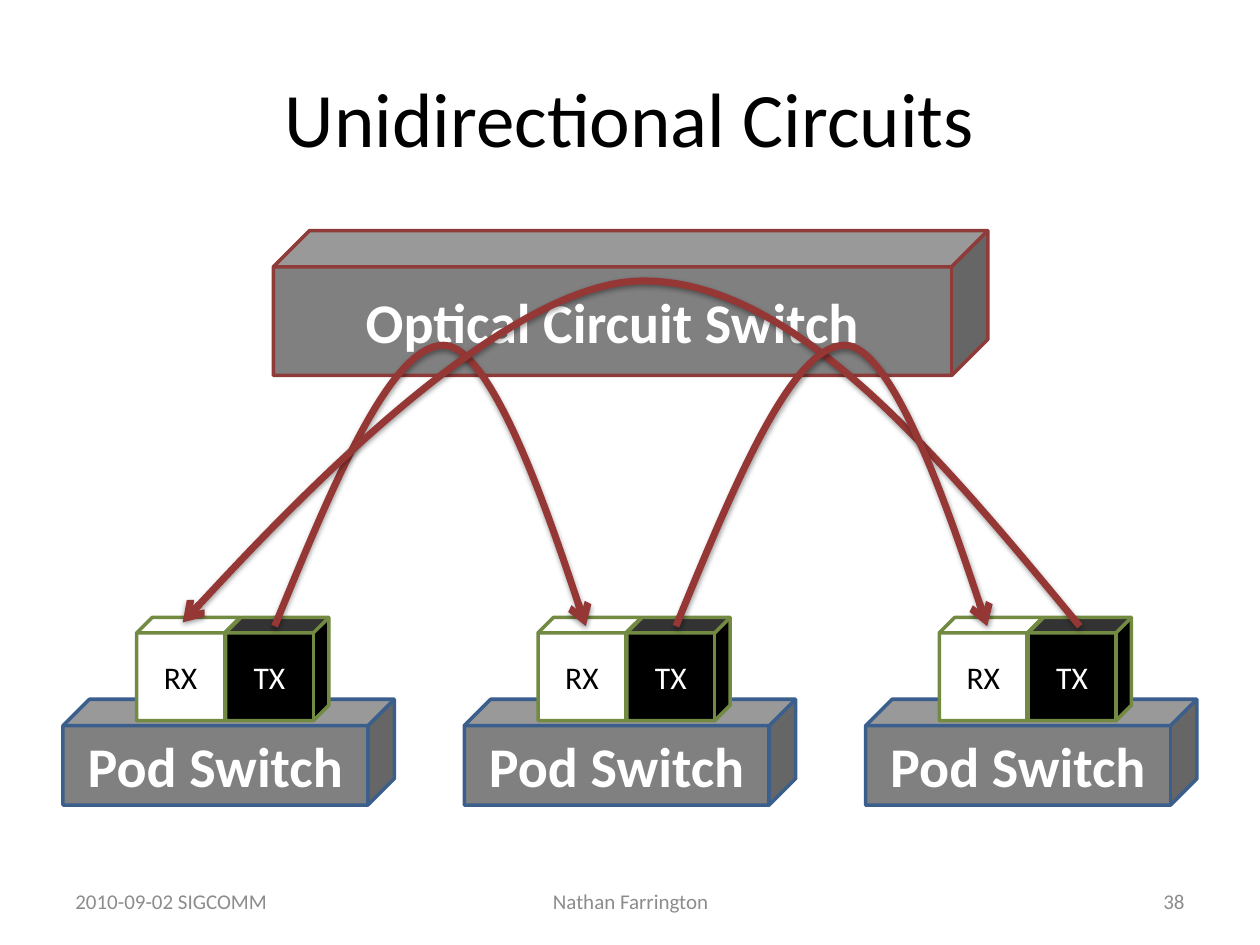
from lxml import etree
from pptx import Presentation
from pptx.dml.color import RGBColor
from pptx.enum.shapes import MSO_SHAPE
from pptx.enum.text import MSO_ANCHOR, PP_ALIGN
from pptx.oxml.ns import qn
from pptx.util import Inches, Pt

CUBE = MSO_SHAPE.CUBE
MIDDLE = MSO_ANCHOR.MIDDLE
LEFT, CENTER, RIGHT = PP_ALIGN.LEFT, PP_ALIGN.CENTER, PP_ALIGN.RIGHT
FONT = "Calibri"

# Content: text, place, alignment, size, colour
TEXTS = [
    ("Unidirectional Circuits", (0.5, 0.3, 9, 1.25), CENTER, 44, "000000"),
    ("2010-09-02 SIGCOMM", (0.5, 6.95, 2.33, 0.4), LEFT, 12, "8C8C8C"),
    ("Nathan Farrington", (3.42, 6.95, 3.17, 0.4), CENTER, 12, "8C8C8C"),
    ("38", (7.17, 6.95, 2.33, 0.4), RIGHT, 12, "8C8C8C"),
]
POD_LEFT, POD_STEP, POD_COUNT = 0.5, 3.185, 3
# Ports of a pod: text, offset from the pod's left, fill, text colour
PORTS = [("RX", 0.585, "FFFFFF", "000000"), ("TX", 1.29, "000000", "FFFFFF")]
PORT_TOP, PORT_SIZE = 4.9, 0.82

# Circuits: a start point, then three points for each Bezier segment
HOP = [(2.18, 4.97), (2.64, 3.85), (3.1, 2.74), (3.52, 2.74),
       (3.93, 2.74), (4.65, 4.97), (4.65, 4.97)]
RETURN = [(8.57, 4.97), (7.44, 3.6), (6.3, 2.23), (5.11, 2.23),
          (3.92, 2.22), (1.45, 4.94), (1.45, 4.94)]
CIRCUITS = [HOP, RETURN, [(x + POD_STEP, y) for x, y in HOP]]


def rgb(value):
    return RGBColor.from_string(value)


def write(shape, text, align, size, color, bold=False):
    frame = shape.text_frame
    frame.word_wrap = True
    frame.vertical_anchor = MIDDLE
    para = frame.paragraphs[0]
    para.text = text
    para.alignment = align
    para.font.name = FONT
    para.font.size = Pt(size)
    para.font.bold = bold
    para.font.color.rgb = rgb(color)


def add_cube(shapes, place, text, fill, line, size, color, bold, depth=0.25):
    cube = shapes.add_shape(CUBE, *map(Inches, place))
    cube.adjustments[0] = depth
    cube.shadow.inherit = False
    cube.fill.solid()
    cube.fill.fore_color.rgb = rgb(fill)
    cube.line.color.rgb = rgb(line)
    cube.line.width = Pt(2)
    write(cube, text, CENTER, size, color, bold)


def add_circuit(shapes, points):
    start, *rest = [(Inches(x), Inches(y)) for x, y in points]
    builder = shapes.build_freeform(*start)
    builder.add_line_segments(rest, close=False)
    curve = builder.convert_to_shape()
    curve.fill.background()
    curve.line.color.rgb = rgb("953735")
    curve.line.width = Pt(4)
    curve.shadow.inherit = False
    props = curve.element.spPr

    # Merge each three straight segments into one Bezier segment
    track = props.find(".//" + qn("a:path"))
    segments = track.findall(qn("a:lnTo"))
    for first in range(0, len(segments), 3):
        bezier = etree.SubElement(track, qn("a:cubicBezTo"))
        for segment in segments[first:first + 3]:
            bezier.append(segment[0])
            track.remove(segment)

    # Arrowhead and soft shadow
    etree.SubElement(props.find(qn("a:ln")), qn("a:tailEnd"), type="arrow")
    shadow = etree.SubElement(
        props.find(qn("a:effectLst")), qn("a:outerShdw"),
        blurRad=str(Pt(3.1)), dist=str(Pt(1.6)), dir="5400000", rotWithShape="0")
    black = etree.SubElement(shadow, qn("a:srgbClr"), val="000000")
    etree.SubElement(black, qn("a:alpha"), val="38000")


deck = Presentation()
deck.slide_width, deck.slide_height = Inches(10), Inches(7.5)
page = deck.slides.add_slide(deck.slide_layouts[6])

# Title and footer
for text, place, align, size, color in TEXTS:
    box = page.shapes.add_textbox(*map(Inches, place))
    write(box, text, align, size, color)

# Optical switch
add_cube(page.shapes, (2.17, 1.83, 5.67, 1.15), "Optical Circuit Switch",
         "808080", "8E3B39", 32, "FFFFFF", True)

# Pods with their ports
for index in range(POD_COUNT):
    left = POD_LEFT + index * POD_STEP
    pod = page.shapes.add_group_shape()
    add_cube(pod.shapes, (left, 5.55, 2.63, 0.84), "Pod Switch",
             "808080", "3A5F8C", 32, "FFFFFF", True)
    for text, offset, fill, color in PORTS:
        add_cube(pod.shapes, (left + offset, PORT_TOP, PORT_SIZE, PORT_SIZE), text,
                 fill, "738A42", 18, color, False, depth=0.15)

# Circuits
for points in CIRCUITS:
    add_circuit(page.shapes, points)

deck.save("out.pptx")
